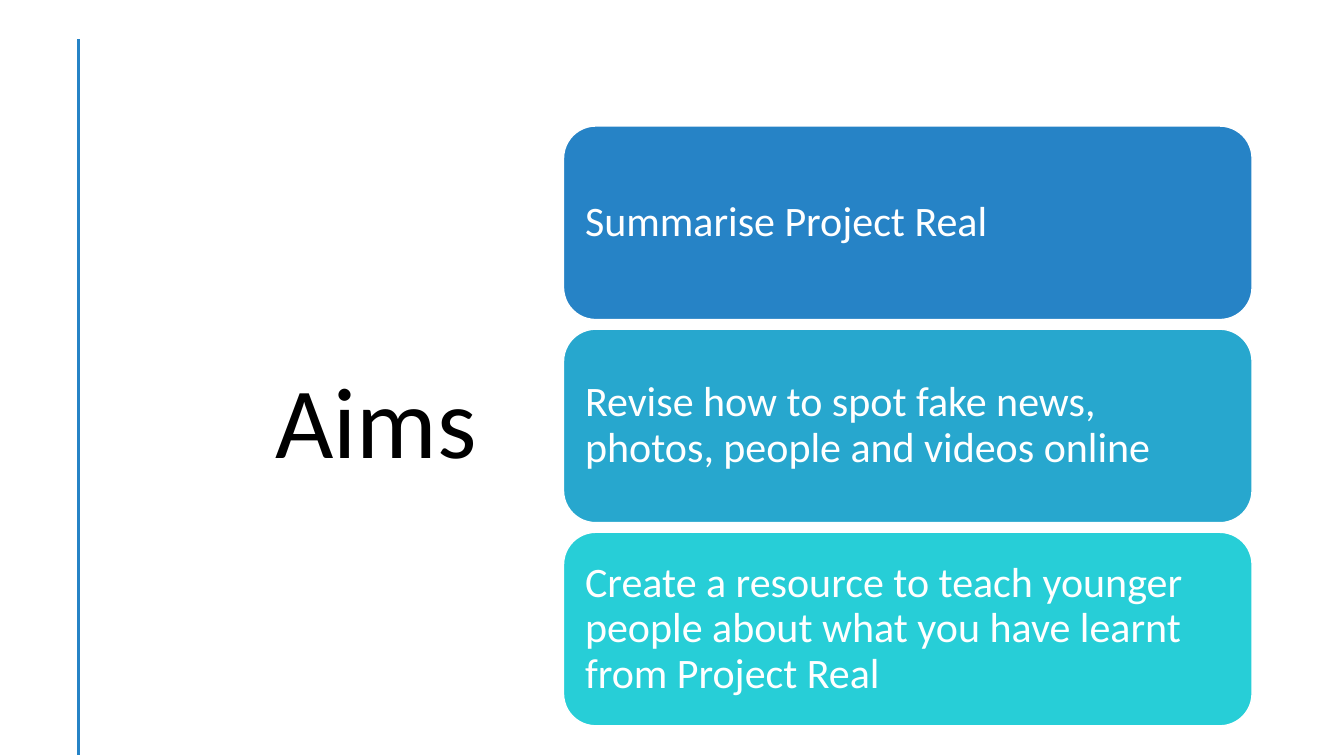
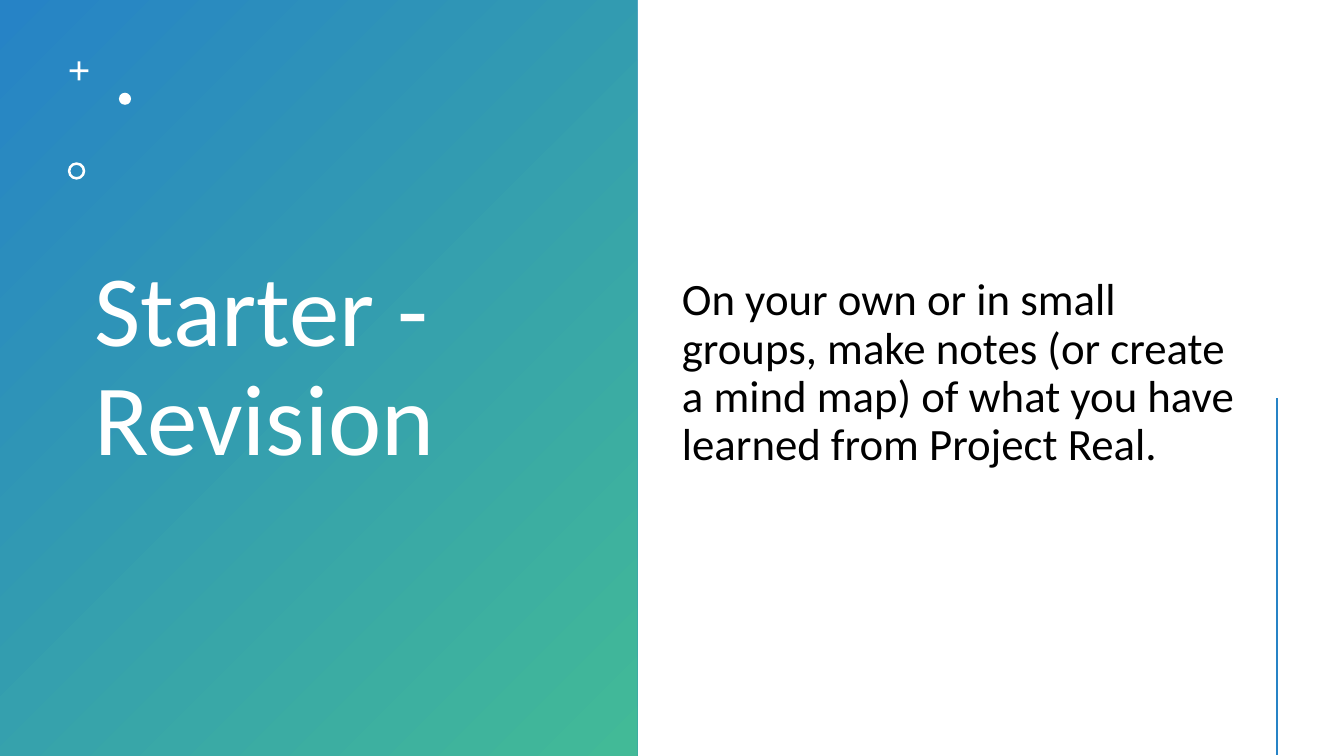
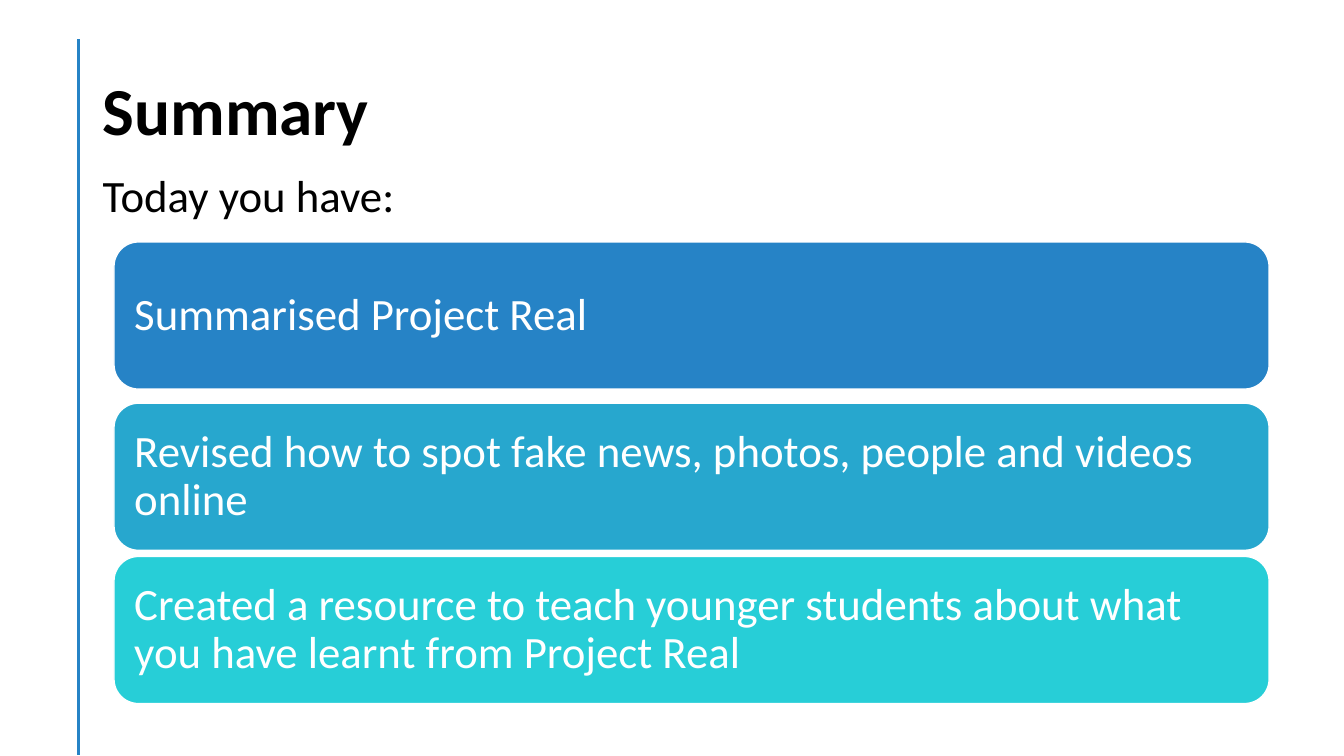
from dataclasses import dataclass

from lxml import etree
from pptx import Presentation, util as u
from pptx.dml.color import RGBColor
from pptx.enum import shapes, text
from pptx.oxml import ns

# Shared look
WIDTH, HEIGHT = u.Inches(13.33), u.Inches(7.5)
FONT = "Calibri"
BLACK, WHITE, BLUE, GREEN = "000000", "FFFFFF", "2683C6", "42BA97"
CARD_COLOURS = (BLUE, "27A7CE", "27CED7")
LINE_SPACING = 0.9
LEFT_RAIL = 5.85
RAIL_TOP, RAIL_BOTTOM = 5.2, 99.9


@dataclass(frozen=True)
class Box:
    """A place on the slide, in percent of its width and height."""
    left: float
    top: float
    width: float
    height: float

    def lengths(self) -> tuple[int, int, int, int]:
        return across(self.left), down(self.top), across(self.width), down(self.height)


@dataclass(frozen=True)
class TextStyle:
    size: float
    colour: str = BLACK
    bold: bool = False
    align: text.PP_ALIGN = text.PP_ALIGN.LEFT
    anchor: text.MSO_ANCHOR = text.MSO_ANCHOR.MIDDLE
    before: float = 0


@dataclass(frozen=True)
class CardStack:
    """Equal cards, one for each top edge."""
    left: float
    tops: tuple[float, ...]
    width: float
    height: float
    size: float
    inset: float


@dataclass(frozen=True)
class Ornament:
    kind: shapes.MSO_SHAPE
    box: Box
    adjustment: float | None = None


def across(percent: float) -> int:
    return round(WIDTH * percent / 100)


def down(percent: float) -> int:
    return round(HEIGHT * percent / 100)


def colour(value: str) -> RGBColor:
    return RGBColor.from_string(value)


def write(frame, words: str, style: TextStyle) -> None:
    frame.word_wrap = True
    frame.vertical_anchor = style.anchor
    paragraph = frame.paragraphs[0]
    paragraph.alignment = style.align
    paragraph.line_spacing = LINE_SPACING
    paragraph.space_before = u.Pt(style.before)
    run = paragraph.add_run()
    run.text = words
    run.font.name = FONT
    run.font.size = u.Pt(style.size)
    run.font.bold = style.bold
    run.font.color.rgb = colour(style.colour)


def add_text(slide, box: Box, words: str, style: TextStyle) -> None:
    write(slide.shapes.add_textbox(*box.lengths()).text_frame, words, style)


def add_shape(slide, kind: shapes.MSO_SHAPE, box: Box, fill: str | None = None):
    shape = slide.shapes.add_shape(kind, *box.lengths())
    shape.shadow.inherit = False
    shape.line.fill.background()
    if fill:
        shape.fill.solid()
        shape.fill.fore_color.rgb = colour(fill)
    return shape


def add_rail(slide, left: float = LEFT_RAIL, top: float = RAIL_TOP) -> None:
    rail = slide.shapes.add_connector(
        shapes.MSO_CONNECTOR.STRAIGHT,
        across(left), down(top), across(left), down(RAIL_BOTTOM))
    rail.line.color.rgb = colour(BLUE)
    rail.line.width = u.Pt(2)
    etree.SubElement(rail._element.spPr, ns.qn("a:effectLst"))


def add_cards(slide, stack: CardStack, sentences: tuple[str, ...]) -> None:
    style = TextStyle(stack.size, WHITE)
    for top, fill, sentence in zip(stack.tops, CARD_COLOURS, sentences):
        box = Box(stack.left, top, stack.width, stack.height)
        card = add_shape(slide, shapes.MSO_SHAPE.ROUNDED_RECTANGLE, box, fill)
        card.line.color.rgb = colour(WHITE)
        card.line.width = u.Pt(1)
        frame = card.text_frame
        frame.margin_left = frame.margin_right = u.Inches(stack.inset)
        frame.margin_top = frame.margin_bottom = u.Inches(stack.inset)
        write(frame, sentence, style)


def add_gradient_panel(slide, box: Box) -> None:
    panel = add_shape(slide, shapes.MSO_SHAPE.RECTANGLE, box)
    panel.fill.gradient()
    panel.fill.gradient_angle = 315
    for stop, value in zip(panel.fill.gradient_stops, (BLUE, GREEN)):
        stop.color.rgb = colour(value)


ORNAMENTS = (
    Ornament(shapes.MSO_SHAPE.CROSS, Box(5.18, 8.13, 1.4, 2.5), 0.43),
    Ornament(shapes.MSO_SHAPE.OVAL, Box(8.85, 12.27, 0.9, 1.6)),
    Ornament(shapes.MSO_SHAPE.DONUT, Box(5.05, 21.47, 1.3, 2.3), 0.15),
)
AIMS_CARDS = CardStack(41.93, tuple(16.67 + 26.87 * row for row in range(3)),
                       51.23, 25.6, 30, 0.12)
SUMMARY_CARDS = CardStack(8.48, (32, 53.33, 73.6), 85.95, 19.47, 32, 0.13)


def build_aims(slide) -> None:
    add_rail(slide)
    add_text(slide, Box(3.9, 15.6, 32.33, 81.47), "Aims",
             TextStyle(72, align=text.PP_ALIGN.RIGHT))
    add_cards(slide, AIMS_CARDS, (
        "Summarise Project Real",
        "Revise how to spot fake news, photos, people and videos online",
        "Create a resource to teach younger people about what you have learnt "
        "from Project Real",
    ))


def build_starter(slide) -> None:
    add_gradient_panel(slide, Box(0, 0, 47.4, 100))
    add_text(slide, Box(6.3, 5.2, 36.3, 87.07), "Starter - Revision",
             TextStyle(72, WHITE))
    for ornament in ORNAMENTS:
        shape = add_shape(slide, ornament.kind, ornament.box, WHITE)
        if ornament.adjustment is not None:
            shape.adjustments[0] = ornament.adjustment
    add_text(slide, Box(50, 5.9, 43.65, 87.07),
             "On your own or in small groups, make notes (or create a mind map) "
             "of what you have learned from Project Real.",
             TextStyle(32, before=10))
    add_rail(slide, 95.02, 52.67)


def build_summary(slide) -> None:
    add_rail(slide)
    add_text(slide, Box(6.9, 5.33, 86.25, 19.33), "Summary",
             TextStyle(48, bold=True))
    add_text(slide, Box(6.9, 22.27, 86.25, 9), "Today you have:",
             TextStyle(32, anchor=text.MSO_ANCHOR.TOP, before=10))
    add_cards(slide, SUMMARY_CARDS, (
        "Summarised Project Real",
        "Revised how to spot fake news, photos, people and videos online",
        "Created a resource to teach younger students about what you have learnt "
        "from Project Real",
    ))


def main() -> None:
    presentation = Presentation()
    presentation.slide_width, presentation.slide_height = WIDTH, HEIGHT
    blank = presentation.slide_layouts[6]
    for build in (build_aims, build_starter, build_summary):
        build(presentation.slides.add_slide(blank))
    presentation.save("out.pptx")


if __name__ == "__main__":
    main()
